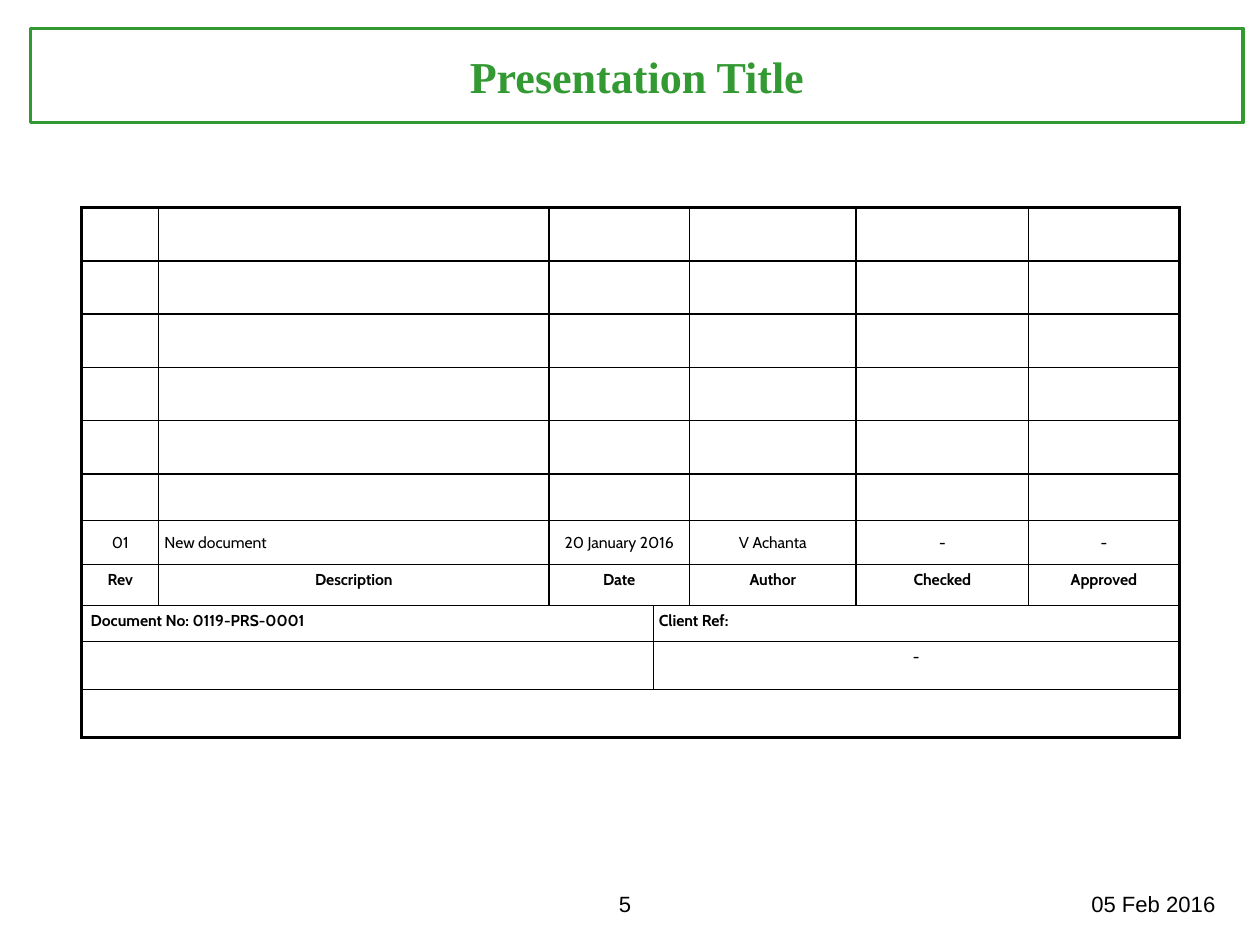
from lxml.etree import SubElement
from pptx import Presentation
from pptx.dml.color import RGBColor
from pptx.enum.shapes import MSO_SHAPE as Shape
from pptx.enum.text import MSO_ANCHOR as Anchor, PP_ALIGN as Align
from pptx.oxml.ns import qn
from pptx.util import Emu, Pt

PX = 9144
COLORS = {"black": "000000", "green": "339933"}
THIN, THICK = 1, 2.25


def write(frame, text, align, color="black", **formats):
    para = frame.paragraphs[0]
    para.alignment = align
    span = para.add_run()
    span.text = text
    span.font.color.rgb = RGBColor.from_string(COLORS[color])
    for name, value in formats.items():
        setattr(span.font, name, value)


def add_border(cell, side, points):
    line = SubElement(cell._tc.get_or_add_tcPr(), qn(f"a:ln{side}"), w=str(Pt(points)))
    fill = SubElement(line, qn("a:solidFill"))
    SubElement(fill, qn("a:srgbClr"), val=COLORS["black"])


deck = Presentation()
deck.slide_width, deck.slide_height = Emu(1111 * PX), Emu(833 * PX)
page = deck.slides.add_slide(deck.slide_layouts[6])

footers = [
    ("05 Feb 2016", (923, 780, 188, 25), Align.CENTER),
    ("5", (536, 780, 46, 34), Align.LEFT),
]
for text, place, align in footers:
    box = page.shapes.add_textbox(*[Emu(length * PX) for length in place])
    box.text_frame.word_wrap = True
    write(box.text_frame, text, align, name="Arial", size=Pt(14))

title = page.shapes.add_shape(Shape.RECTANGLE, *[Emu(length * PX) for length in (27, 25, 1069, 83)])
title.shadow.inherit = False
title.fill.background()
title.line.color.rgb = RGBColor.from_string(COLORS["green"])
title.line.width = Pt(2.25)
title.text_frame.vertical_anchor = Anchor.MIDDLE
write(title.text_frame, "Presentation Title", Align.CENTER, "green",
      name="Times New Roman", size=Pt(28), bold=True)

column_widths = [68, 344, 92, 32, 147, 152, 133]
row_heights = [47] * 5 + [41, 39, 36, 32, 42, 42]
revision_spans = [(0, 1), (1, 1), (2, 2), (4, 1), (5, 1), (6, 1)]
reference_spans = [(0, 3), (3, 4)]
row_spans = [revision_spans] * 8 + [reference_spans] * 2 + [[(0, 7)]]
row_texts = {
    6: ["01", "New document", "20 January 2016", "V Achanta", "-", "-"],
    7: ["Rev", "Description", "Date", "Author", "Checked", "Approved"],
    8: ["Document No: 0119-PRS-0001", "Client Ref:"],
    9: ["", "-"],
}
left_aligned = {(6, 1), (8, 0), (8, 3)}
last_row, last_column = len(row_heights) - 1, len(column_widths) - 1

table = page.shapes.add_table(
    len(row_heights), len(column_widths), Emu(72 * PX), Emu(183 * PX),
    Emu(sum(column_widths) * PX), Emu(sum(row_heights) * PX)).table
table.first_row = table.horz_banding = False
for column, width in zip(table.columns, column_widths):
    column.width = Emu(width * PX)
for row, height in zip(table.rows, row_heights):
    row.height = Emu(height * PX)

for row, spans in enumerate(row_spans):
    texts = row_texts.get(row, [""] * len(spans))
    for (start, count), text in zip(spans, texts):
        end = start + count - 1
        first_cell = table.cell(row, start)
        if count > 1:
            first_cell.merge(table.cell(row, end))
        borders = {
            "L": THICK if start == 0 else THIN,
            "R": THICK if end == last_column else THIN,
            "T": THICK if row == 0 else THIN,
            "B": THICK if row == last_row else THIN,
        }
        for column in range(start, end + 1):
            cell = table.cell(row, column)
            sides = "LRTB" if column == start else "RTB" if column == end else "TB"
            for side in sides:
                add_border(cell, side, borders[side])
            cell.fill.background()
            for edge in ("left", "right", "top", "bottom"):
                setattr(cell, f"margin_{edge}", Emu(5 * PX))
        if text:
            first_cell.vertical_anchor = Anchor.MIDDLE if row == 6 else Anchor.TOP
            align = Align.LEFT if (row, start) in left_aligned else Align.CENTER
            write(first_cell.text_frame, text, align,
                  name="Cabin", size=Pt(10), bold=row in (7, 8))
table.cell(8, 0).margin_left = Emu(8 * PX)

deck.save("out.pptx")
